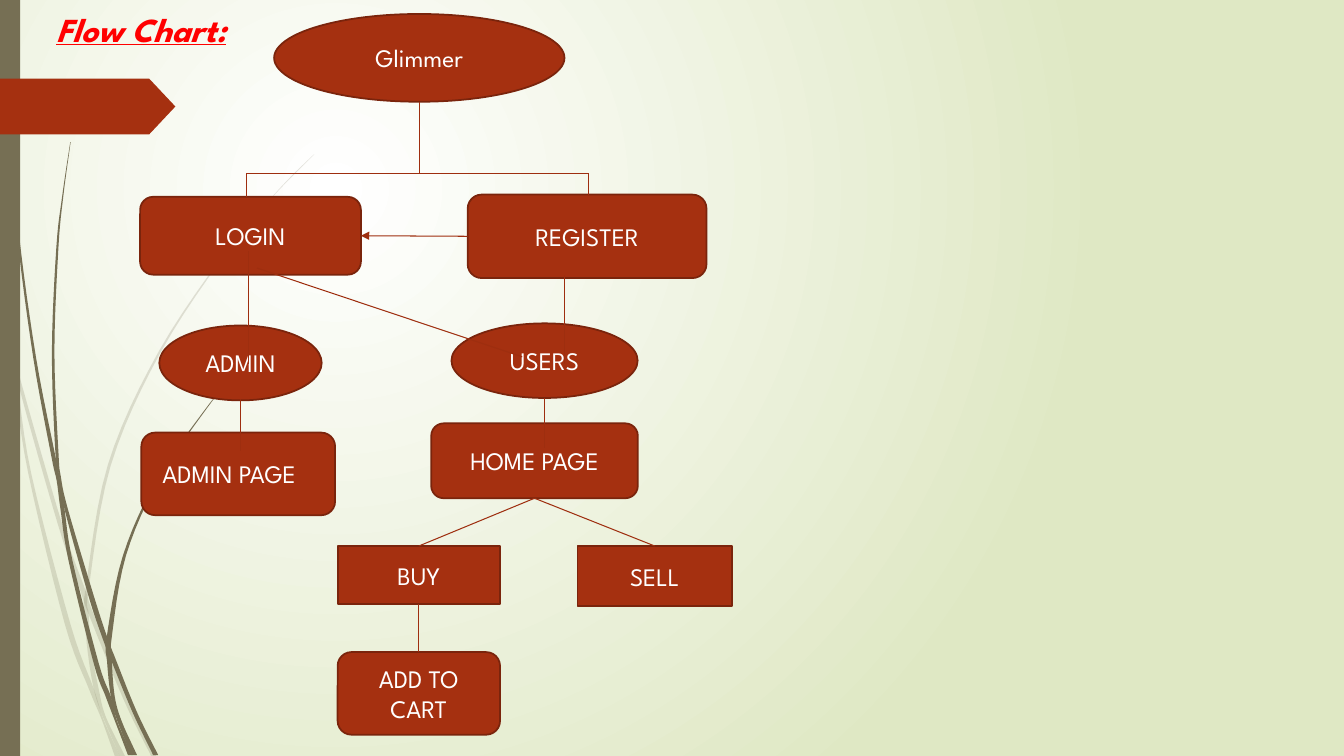
from lxml import etree
from pptx import Presentation
from pptx.dml.color import RGBColor
from pptx.enum.shapes import MSO_CONNECTOR, MSO_SHAPE as SHAPE
from pptx.enum.text import MSO_ANCHOR, PP_ALIGN
from pptx.oxml.ns import qn
from pptx.util import Pt

# Content: lengths in points
FONT = "League Spartan"
RUST, RUST_EDGE, RUST_LINE = "A53010", "7A240C", "9E2E0F"
OLIVE, WHITE, MIST, RED = "766F54", "FFFFFF", "DFE8C4", "FF0000"
OVAL, ROUND, RECT = SHAPE.OVAL, SHAPE.ROUNDED_RECTANGLE, SHAPE.RECTANGLE

TITLE = ("Flow Chart:", (33, 3, 215, 36))
TITLE_FORMAT = dict(size=Pt(24), bold=True, italic=True, underline=True)
NODES = {  # text: (shape, (left, top, width, height))
    "Glimmer": (OVAL, (195.8, 10, 207.4, 62.7)),
    "REGISTER": (ROUND, (334.1, 139, 170.6, 59.6)),
    "LOGIN": (ROUND, (100.1, 140.6, 157.7, 55.6)),
    "ADMIN": (OVAL, (113.8, 232.5, 116, 53.5)),
    "USERS": (OVAL, (322.5, 231, 133, 53.3)),
    "HOME PAGE": (ROUND, (308, 302.4, 147.6, 53.5)),
    "ADMIN PAGE": (ROUND, (101, 309, 138.4, 59)),
    "BUY": (RECT, (241.2, 390, 116, 41.6)),
    "SELL": (RECT, (412.5, 390, 110.3, 43)),
    "ADD TO CART": (ROUND, (241.2, 465.8, 116, 59)),
}
RIGHT_INSET = {"ADMIN PAGE": 20}
JOINED = [  # from, side, to, side, arrowhead
    ("HOME PAGE", 2, "BUY", 0, False),
    ("HOME PAGE", 2, "SELL", 0, False),
    ("BUY", 2, "ADD TO CART", 0, False),
    ("REGISTER", 1, "LOGIN", 3, True),
]
LINES = [  # x1, y1, x2, y2
    (299.5, 72.7, 299.5, 123.8),
    (176.4, 123.8, 420.5, 123.8),
    (176.4, 123.8, 176.4, 140.6),
    (420.5, 123.8, 420.5, 139),
    (403.2, 196.6, 403.2, 260),
    (183.6, 191.5, 373, 254.9),
    (177.8, 179.3, 177.8, 260),
    (172, 286, 172, 321.8),
    (389, 284.3, 389, 319.7),
]
STRANDS = [  # opacity, rows of (y, left edge, right edge)
    (20, [(203, 0, 0), (215.3, 0, 3.5), (231.8, 5, 6.5), (252, 7.9, 9),
          (270.7, 10, 12.2), (338, 20.2, 22.3), (446, 46.4, 50.4),
          (492, 63.5, 67), (514, 72.7, 74), (540, 82, 85.7)]),
    (20, [(248.4, 10, 10.1), (270.7, 12.2, 14.5), (375, 41.5, 44.6),
          (422, 57.5, 61.2), (437, 62.7, 66.2), (499, 88, 91.4),
          (540, 108, 111.6)]),
    (20, [(110.2, 224.4, 224.6), (126, 208, 208.8), (142.5, 192.8, 193.2),
          (176, 164, 164.9), (250.9, 113.5, 115.2), (332.3, 77, 79.2),
          (420.5, 61.2, 63.4), (439, 60.5, 63.4), (465, 62.6, 65.5),
          (492, 67, 70.5), (512, 73.5, 75.6), (540, 85.7, 89.3)]),
    (100, [(0, 2.2, 2.9), (34.6, 2.9, 3.6), (78.8, 5, 5.8),
           (167.5, 12.2, 13.6), (255.6, 23.8, 25.8), (326, 36.7, 39.6),
           (343.4, 40.5, 43), (363.6, 43.2, 46.1), (400.5, 49, 51.8),
           (474, 67, 70.6), (497.5, 75.5, 79.2), (516, 82.5, 84),
           (539.3, 91.4, 94.5)]),
    (100, [(101.5, 50.2, 50.5), (139, 44.6, 45.4), (176.4, 40.3, 41.8),
           (251.3, 37.1, 38.9), (323.3, 39.6, 41.8), (340, 42.2, 43.4),
           (363.6, 46.1, 48.5), (425.5, 63.2, 67), (454.3, 72.7, 76.3),
           (472.3, 79.7, 83.2), (508.5, 94.6, 97.8), (539.3, 109.4, 113)]),
    (100, [(247.7, 187.2, 187.9), (268.9, 166.3, 166.6), (292, 146.9, 147.6),
           (342, 112.3, 113.8), (397, 87.8, 90), (455, 76.3, 79.9),
           (472.3, 76.5, 79.9), (497.5, 79.2, 82), (515.5, 84, 87.1),
           (539.3, 94, 97.9)]),
]
SIDE_BAR = (0, 0, 14.4, 540)
TAG = (0, 56.2, 125.3, 39.8)

prs = Presentation()
prs.slide_width, prs.slide_height = Pt(960), Pt(540)
s = prs.slides.add_slide(prs.slide_layouts[6])


def rgb(hex_string):
    return RGBColor.from_string(hex_string)


def sub(parent, tag, **attrs):
    return etree.SubElement(parent, qn(tag), attrs)


def paint(sp, fill, edge=None):
    sp.shadow.inherit = False
    sp.fill.solid()
    sp.fill.fore_color.rgb = rgb(fill)
    if edge:
        sp.line.color.rgb, sp.line.width = rgb(edge), Pt(1.25)
    else:
        sp.line.fill.background()
    return sp


def add_shape(kind, box, fill, edge=None):
    return paint(s.shapes.add_shape(kind, *map(Pt, box)), fill, edge)


def write(tf, text, color, **formats):
    tf.word_wrap = True
    p = tf.paragraphs[0]
    r = p.add_run()
    r.text = text
    r.font.name, r.font.color.rgb = FONT, rgb(color)
    for name, value in formats.items():
        setattr(r.font, name, value)
    return p


def smooth(points, steps=6):
    """Catmull-Rom curve through the points."""
    ends = [points[0], *points, points[-1]]
    curve = []
    for a, b, c, d in zip(ends, ends[1:], ends[2:], ends[3:]):
        for t in (i / steps for i in range(steps)):
            curve.append(tuple(
                b[k] + t / 2 * (c[k] - a[k]
                                + t * (2 * a[k] - 5 * b[k] + 4 * c[k] - d[k])
                                + t * t * (3 * (b[k] - c[k]) + d[k] - a[k]))
                for k in (0, 1)))
    return curve + [points[-1]]


def add_strand(opacity, rows):
    left = smooth([(x, y) for y, x, _ in rows])
    right = smooth([(x, y) for y, _, x in rows])
    outline = [(x * 100, y * 100) for x, y in left + right[::-1]]
    fb = s.shapes.build_freeform(*outline[0], scale=Pt(1) / 100)
    fb.add_line_segments(outline[1:], close=True)
    sp = paint(fb.convert_to_shape(), OLIVE)
    if opacity < 100:
        color = sp.fill._xPr.find(qn("a:solidFill"))[0]
        sub(color, "a:alpha", val=str(opacity * 1000))


def add_line(x1=0, y1=0, x2=0, y2=0):
    c = s.shapes.add_connector(MSO_CONNECTOR.STRAIGHT, *map(Pt, (x1, y1, x2, y2)))
    c.line.color.rgb, c.line.width = rgb(RUST_LINE), Pt(0.75)
    sub(c._element.spPr, "a:effectLst")
    return c


# Background: circular gradient
fill = s.background.fill
fill.gradient()
for stop, color, place in zip(fill.gradient_stops, (WHITE, MIST), (0, 1)):
    stop.color.rgb, stop.position = rgb(color), place
grad = s.background._cSld.find(".//" + qn("a:gradFill"))
grad.remove(grad.find(qn("a:lin")))
circle = sub(grad, "a:path", path="circle")
sub(circle, "a:fillToRect", l="50000", t="50000", r="100000", b="100000")

# Decoration on the left
for opacity, rows in STRANDS:
    add_strand(opacity, rows)
add_shape(RECT, SIDE_BAR, OLIVE)
add_shape(SHAPE.PENTAGON, TAG, RUST).adjustments[0] = 0.47

# Title
title, box = TITLE
write(s.shapes.add_textbox(*map(Pt, box)).text_frame, title, RED, **TITLE_FORMAT)

# Flow chart nodes
nodes = {}
for text, (kind, box) in NODES.items():
    sp = nodes[text] = add_shape(kind, box, RUST, RUST_EDGE)
    tf = sp.text_frame
    tf.vertical_anchor = MSO_ANCHOR.MIDDLE
    tf.margin_right = Pt(RIGHT_INSET.get(text, 7.2))
    write(tf, text, WHITE, size=Pt(18)).alignment = PP_ALIGN.CENTER

# Lines between nodes
for ends in LINES:
    add_line(*ends)
for start, start_side, end, end_side, arrow in JOINED:
    c = add_line()
    c.begin_connect(nodes[start], start_side)
    c.end_connect(nodes[end], end_side)
    if arrow:
        sub(c.line._get_or_add_ln(), "a:tailEnd", type="triangle")

prs.save("out.pptx")
